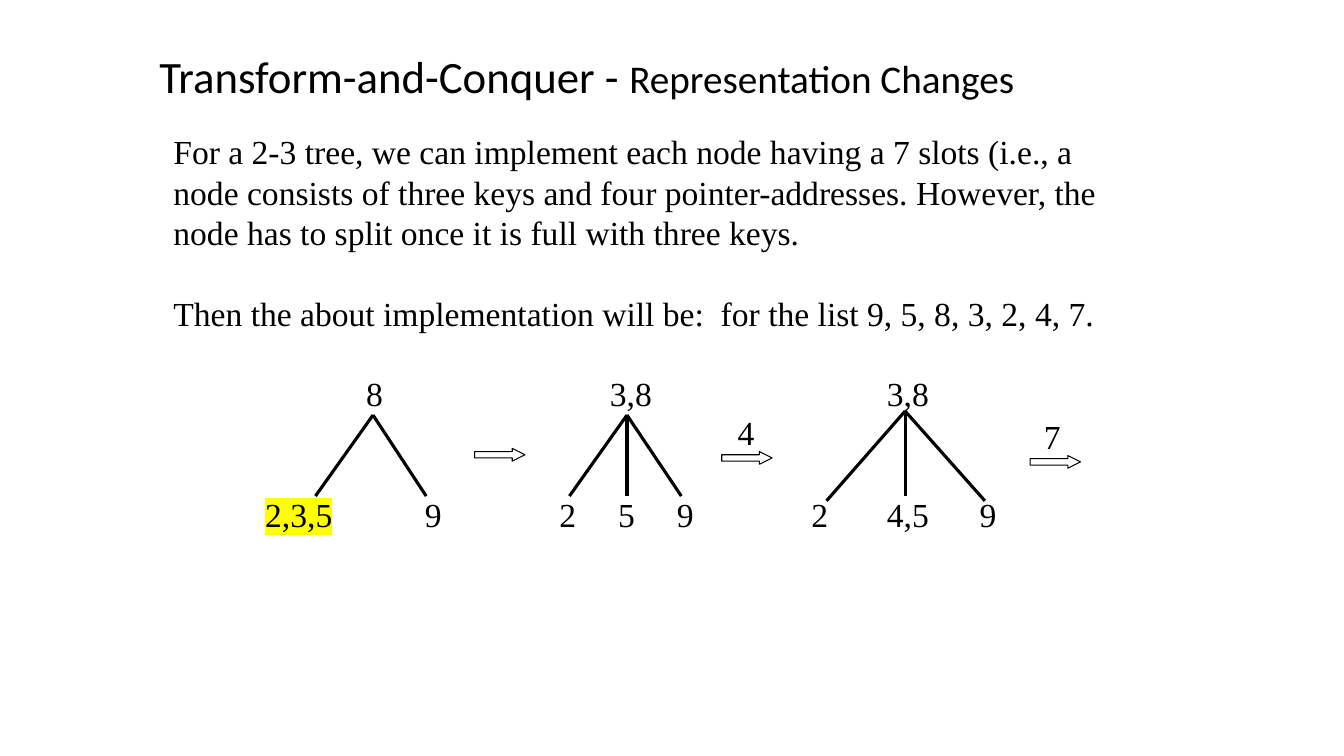
from lxml import etree
from pptx import Presentation
from pptx import util as u
from pptx.dml.color import RGBColor
from pptx.enum import shapes, text
from pptx.oxml import ns

Cm, Pt = u.Cm, u.Pt
SERIF = "Times New Roman"
BLACK, WHITE, YELLOW = "000000", "FFFFFF", "FFFF00"
ROOT_TOP, LEAF_TOP = 9.27, 12.33  # tops of the two label rows, cm

# Each tree: root label (text, x), apex, leaf labels (text, x, highlight),
# branch ends (x, y); x is a centre, all in cm
TREES = [
    (("8", 9.44), (9.4, 10.46),
     [("2,3,5", 7.53, YELLOW), ("9", 10.92, None)],
     [(7.95, 12.5), (10.74, 12.5)]),
    (("3,8", 15.9), (15.8, 10.46),
     [("2", 14.31, None), ("5", 15.79, None), ("9", 17.27, None)],
     [(14.35, 12.5), (15.8, 12.5), (17.17, 12.5)]),
    (("3,8", 22.88), (22.81, 10.36),
     [("2", 20.66, None), ("4,5", 22.88, None), ("9", 24.9, None)],
     [(20.83, 12.62), (22.81, 12.5), (24.82, 12.62)]),
]

# Arrows: left, top; inserted keys: text, centre, top
ARROWS = [(11.96, 11.3), (18.19, 11.38), (25.96, 11.48)]
INSERTED_KEYS = [("4", 18.8, 10.26), ("7", 26.52, 10.36)]


def rgb(hex_colour):
    return RGBColor.from_string(hex_colour)


def set_font(p, name, size=None):
    p.font.name = name
    p.font.color.rgb = rgb(BLACK)
    if size:
        p.font.size = Pt(size)


def add_title(slide):
    sp = slide.shapes.title
    sp.left, sp.top, sp.width, sp.height = Cm(3.76), Cm(1.09), Cm(22.73), Cm(1.63)
    tf = sp.text_frame
    tf.auto_size = text.MSO_AUTO_SIZE.NONE
    tf.vertical_anchor = text.MSO_ANCHOR.MIDDLE
    p = tf.paragraphs[0]
    p.alignment = text.PP_ALIGN.LEFT
    set_font(p, "Calibri")
    for words, size in (("Transform-and-Conquer - ", 32),
                        ("Representation Changes", 28)):
        r = p.add_run()
        r.text = words
        r.font.size = Pt(size)


def add_body(slide, paragraphs):
    sp = slide.shapes.add_textbox(Cm(4.12), Cm(3.18), Cm(24.1), Cm(5.4))
    tf = sp.text_frame
    tf.word_wrap = True
    for i, words in enumerate(paragraphs):
        p = tf.add_paragraph() if i else tf.paragraphs[0]
        p.text = words
        set_font(p, SERIF, 24)
        if i:
            p.space_before = Pt(29)


def add_label(slide, words, centre, top, highlight=None):
    width = 0.5 * len(words)  # wide enough for 24 pt digits without insets
    sp = slide.shapes.add_textbox(Cm(centre - width / 2), Cm(top), Cm(width), Cm(1.27))
    tf = sp.text_frame
    tf.margin_left = tf.margin_right = 0
    tf.word_wrap = True
    p = tf.paragraphs[0]
    p.alignment = text.PP_ALIGN.CENTER
    r = p.add_run()
    r.text = words
    set_font(p, SERIF, 24)
    if highlight:
        mark = etree.SubElement(r.font._element, ns.qn("a:highlight"))
        etree.SubElement(mark, ns.qn("a:srgbClr"), val=highlight)


def add_branch(slide, start, end):
    line = slide.shapes.add_connector(
        shapes.MSO_CONNECTOR.STRAIGHT, *(Cm(v) for v in (*start, *end)))
    line.line.color.rgb = rgb(BLACK)
    line.line.width = Pt(2.25)
    etree.SubElement(line._element.spPr, ns.qn("a:effectLst"))


def add_arrow(slide, left, top):
    sp = slide.shapes.add_shape(
        shapes.MSO_SHAPE.RIGHT_ARROW, Cm(left), Cm(top), Cm(1.27), Cm(0.32))
    sp.adjustments[0], sp.adjustments[1] = 0.5, 1
    sp.shadow.inherit = False
    sp.fill.solid()
    sp.fill.fore_color.rgb = rgb(WHITE)
    sp.line.color.rgb = rgb(BLACK)
    sp.line.width = Pt(0.75)


def add_tree(slide, root, apex, leaves, ends):
    add_label(slide, *root, ROOT_TOP)
    for words, centre, highlight in leaves:
        add_label(slide, words, centre, LEAF_TOP, highlight)
    for end in ends:
        add_branch(slide, apex, end)


def main():
    prs = Presentation()
    prs.slide_width, prs.slide_height = Cm(33.87), Cm(19.05)
    slide = prs.slides.add_slide(prs.slide_layouts[5])

    # Title and explanation
    add_title(slide)
    add_body(slide, [
        "For a 2-3 tree, we can implement each node having a 7 slots (i.e., a "
        "node consists of three keys and four pointer-addresses. However, the "
        "node has to split once it is full with three keys.",
        "Then the about implementation will be:  for the list 9, 5, 8, 3, 2, 4, 7.",
    ])

    # Trees and the insertions between them
    for tree in TREES:
        add_tree(slide, *tree)
    for left, top in ARROWS:
        add_arrow(slide, left, top)
    for key in INSERTED_KEYS:
        add_label(slide, *key)

    prs.save("out.pptx")


if __name__ == "__main__":
    main()
